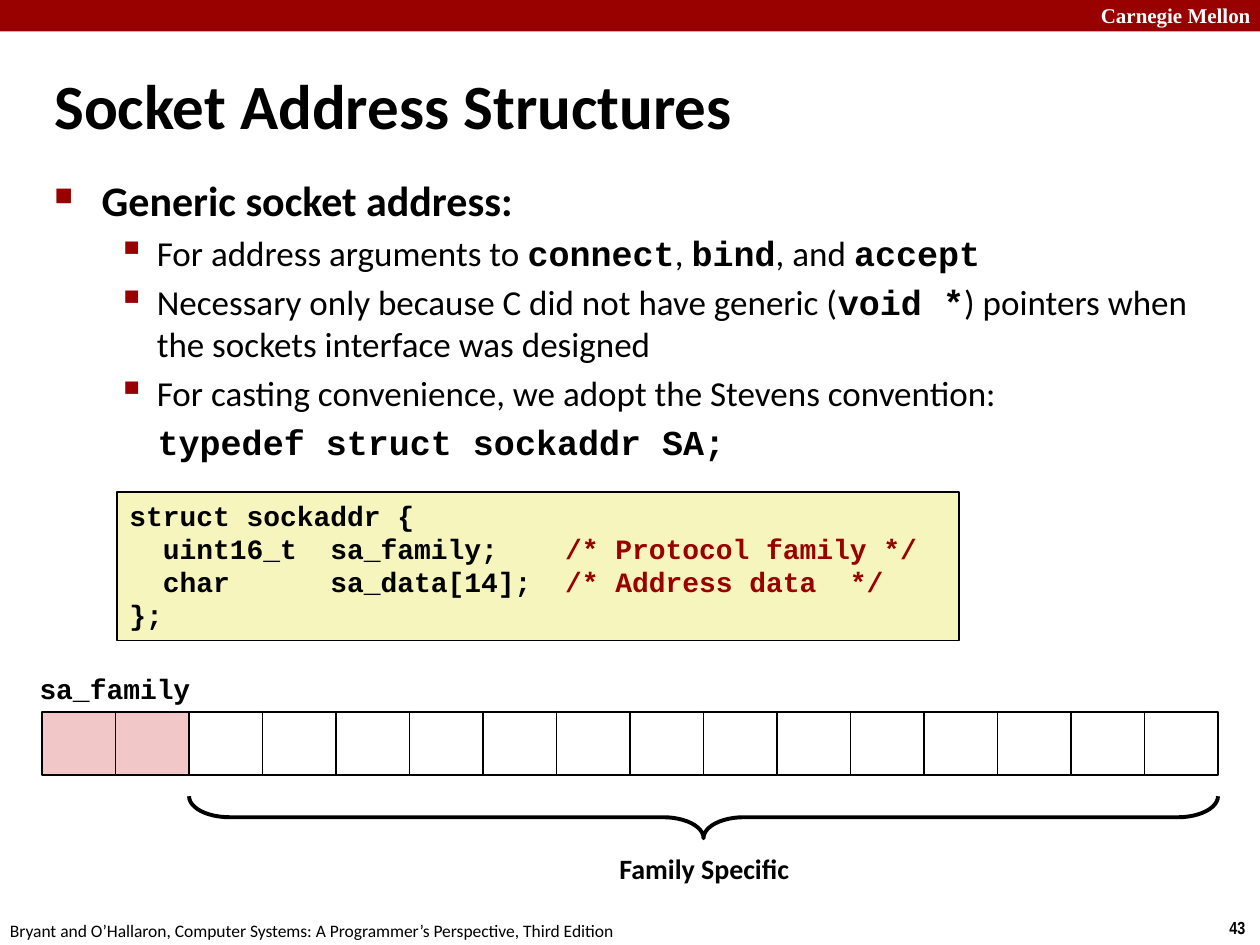
from dataclasses import dataclass
from typing import Optional

from lxml.etree import SubElement
from pptx import Presentation
from pptx.dml.color import RGBColor
from pptx.enum.shapes import MSO_SHAPE
from pptx.enum.text import MSO_ANCHOR, PP_ALIGN
from pptx.oxml.ns import qn
from pptx.util import Pt

BLACK, WHITE, RED = "000000", "FFFFFF", "990000"
SANS, MONO = "Calibri", "Courier New"
CELL_LEFT, CELL_TOP, CELL_WIDTH, CELL_HEIGHT = 24, 407, 42, 36
CELL_COUNT, FAMILY_COUNT = 16, 2


@dataclass
class Span:
    text: str
    font: str = SANS
    bold: bool = False
    color: str = BLACK


@dataclass
class Bullet:
    symbol: str
    percent: int
    hang: float


@dataclass
class Line:
    spans: list[Span]
    size: float
    margin: float = 0
    before: float = 0
    bullet: Optional[Bullet] = None
    align: PP_ALIGN = PP_ALIGN.LEFT
    spacing: Optional[float] = None


@dataclass
class Label:
    left: float
    top: float
    width: float
    height: float
    line: Line
    wrap: bool = False
    anchor: MSO_ANCHOR = MSO_ANCHOR.TOP


def rgb(color: str) -> RGBColor:
    return RGBColor.from_string(color)


def code(text: str, color: str = BLACK) -> Span:
    return Span(text, MONO, True, color)


def format_paragraph(paragraph, line: Line) -> None:
    properties = paragraph._p.get_or_add_pPr()
    properties.set("marL", str(Pt(line.margin)))
    properties.set("indent", str(Pt(-line.bullet.hang if line.bullet else 0)))
    paragraph.alignment = line.align
    paragraph.space_before = Pt(line.before)
    if line.spacing:
        paragraph.line_spacing = Pt(line.spacing)
    if line.bullet:
        color = SubElement(properties, qn("a:buClr"))
        SubElement(color, qn("a:srgbClr")).set("val", RED)
        SubElement(properties, qn("a:buSzPct")).set("val", str(line.bullet.percent * 1000))
        SubElement(properties, qn("a:buChar")).set("char", line.bullet.symbol)
    for span in line.spans:
        run = paragraph.add_run()
        run.text = span.text
        run.font.name = span.font
        run.font.size = Pt(line.size)
        run.font.bold = span.bold
        run.font.color.rgb = rgb(span.color)


def write_lines(shape, lines: list[Line], wrap: bool = True,
                anchor: MSO_ANCHOR = MSO_ANCHOR.TOP) -> None:
    text_frame = shape.text_frame
    text_frame.word_wrap = wrap
    text_frame.vertical_anchor = anchor
    for index, line in enumerate(lines):
        paragraph = text_frame.add_paragraph() if index else text_frame.paragraphs[0]
        format_paragraph(paragraph, line)


def add_box(shapes, kind: MSO_SHAPE, left: float, top: float, width: float, height: float,
            fill: Optional[str] = None, line_width: float = 0):
    shape = shapes.add_shape(kind, Pt(left), Pt(top), Pt(width), Pt(height))
    shape.shadow.inherit = False
    if fill:
        shape.fill.solid()
        shape.fill.fore_color.rgb = rgb(fill)
    else:
        shape.fill.background()
    if line_width:
        shape.line.color.rgb = rgb(BLACK)
        shape.line.width = Pt(line_width)
    else:
        shape.line.fill.background()
    return shape


def add_label(slide, label: Label) -> None:
    shape = slide.shapes.add_textbox(Pt(label.left), Pt(label.top), Pt(label.width), Pt(label.height))
    write_lines(shape, [label.line], label.wrap, label.anchor)


def add_body(slide) -> None:
    square = Bullet("■", 60, 27)
    small_square = Bullet("▪", 110, 22.5)
    points = [
        [Span("For address arguments to "), code("connect"), Span(", "), code("bind"),
         Span(", and "), code("accept")],
        [Span("Necessary only because C did not have generic ("), code("void *"),
         Span(") pointers when the sockets interface was designed")],
        [Span("For casting convenience, we adopt the Stevens convention:")],
    ]
    lines = [Line([Span("Generic socket address:", bold=True)], 24, 27, bullet=square)]
    lines += [Line(spans, 20, 58.5, 4, small_square) for spans in points]
    lines.append(Line([code("typedef struct sockaddr SA;")], 20, 59, 4))
    write_lines(slide.shapes.add_textbox(Pt(24), Pt(96), Pt(686), Pt(180)), lines)


def add_code(slide) -> None:
    box = add_box(slide.shapes, MSO_SHAPE.RECTANGLE, 66.8, 281.3, 481, 84.8, "F6F5BD", 1)
    rows = [
        [code("struct sockaddr {")],
        [code("  uint16_t  sa_family;    "), code("/* Protocol family */", RED)],
        [code("  char      sa_data[14];  "), code("/* Address data  */", RED)],
        [code("};")],
    ]
    write_lines(box, [Line(spans, 16, spacing=19) for spans in rows])


def add_address_bytes(slide) -> None:
    cells = slide.shapes.add_group_shape()
    for index in range(CELL_COUNT):
        fill = "F1C7C7" if index < FAMILY_COUNT else None
        add_box(cells.shapes, MSO_SHAPE.RECTANGLE, CELL_LEFT + index * CELL_WIDTH, CELL_TOP,
                CELL_WIDTH, CELL_HEIGHT, fill, 1)
    span = (CELL_COUNT - FAMILY_COUNT) * CELL_WIDTH
    center = CELL_LEFT + FAMILY_COUNT * CELL_WIDTH + span / 2
    depth, middle = 24, 467
    brace = add_box(slide.shapes, MSO_SHAPE.RIGHT_BRACE, center - depth / 2, middle - span / 2,
                    depth, span, line_width=2.25)
    brace.rotation = 90
    brace.adjustments[0] = 0.96
    brace.adjustments[1] = 0.5


def main() -> None:
    presentation = Presentation()
    presentation.slide_width, presentation.slide_height = Pt(720), Pt(540)
    slide = presentation.slides.add_slide(presentation.slide_layouts[6])
    add_box(slide.shapes, MSO_SHAPE.RECTANGLE, 0, 0, 720, 18, RED)
    footer = "Bryant and O’Hallaron, Computer Systems: A Programmer’s Perspective, Third Edition"
    labels = [
        Label(622, -2, 103, 21.6,
              Line([Span("Carnegie Mellon", "Times New Roman", True, WHITE)], 12)),
        Label(695.5, 520.6, 24.5, 19.4, Line([Span("43", "Arial Narrow", True)], 10)),
        Label(-1.4, 522, 366, 19.4, Line([Span(footer)], 10)),
        Label(24, 29, 686, 61, Line([Span("Socket Address Structures", bold=True)], 36),
              True, MSO_ANCHOR.MIDDLE),
        Label(15.2, 380, 101, 26.6, Line([code("sa_family")], 16, align=PP_ALIGN.CENTER)),
        Label(346, 483, 113, 26.6,
              Line([Span("Family Specific", bold=True)], 16, align=PP_ALIGN.CENTER)),
    ]
    for label in labels:
        add_label(slide, label)
    add_body(slide)
    add_code(slide)
    add_address_bytes(slide)
    presentation.save("out.pptx")


if __name__ == "__main__":
    main()
